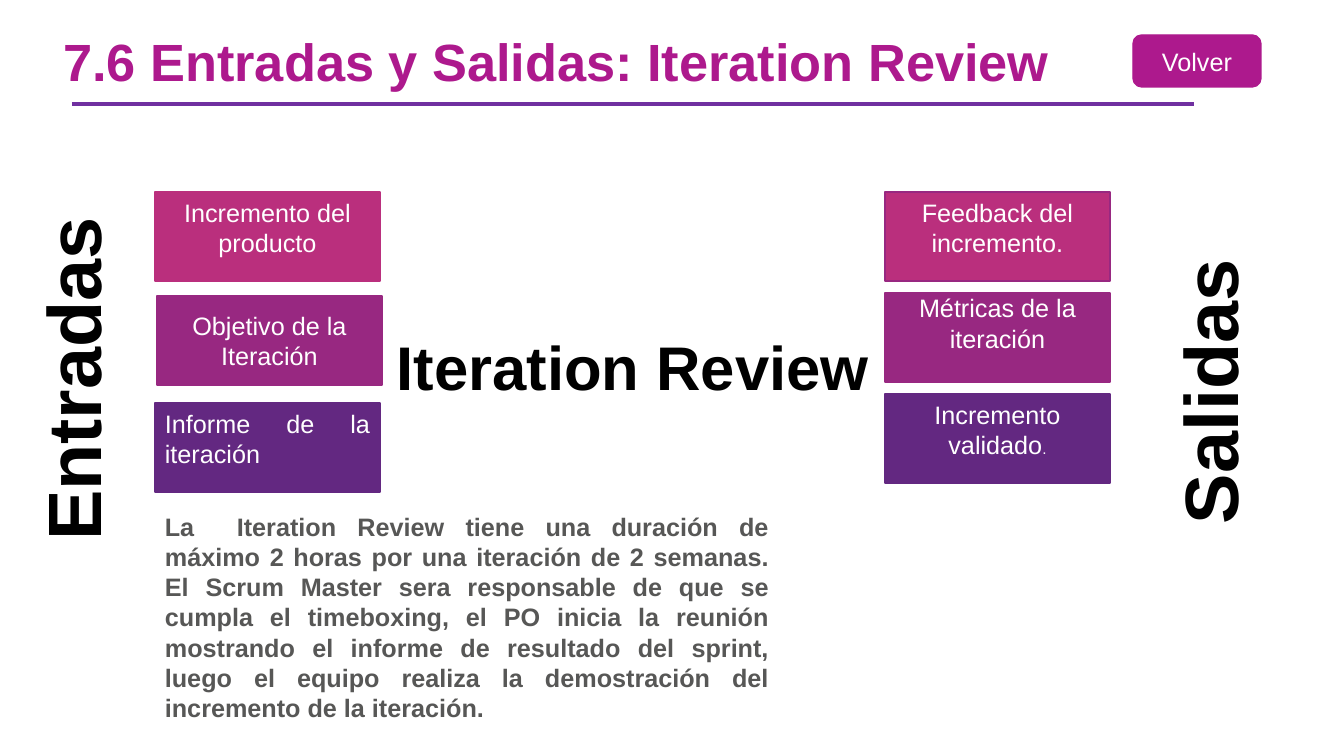
import pptx
import pptx.util
import pptx.dml.color
import pptx.enum.shapes
import pptx.enum.text
import pptx.oxml.ns
import lxml.etree

EMU_PER_PX = 914400 / 100.8
FONT = "Arial"
COLORS = {
    "magenta": "AD198D",
    "rule": "7030A0",
    "pink": "BA2F7D",
    "plum": "982881",
    "violet": "632881",
    "black": "000000",
    "gray": "575756",
    "white": "FFFFFF",
}
ALIGN = pptx.enum.text.PP_ALIGN
SHAPES = pptx.enum.shapes.MSO_SHAPE
CARD_WIDTH, CARD_HEIGHT = 225, 89
INSET = 5
SMALL_GAP, LARGE_GAP = 18, 29

ENTRADAS = [
    ("Incremento del producto", 155, 192, "pink", "pink", ALIGN.CENTER, SMALL_GAP),
    ("Objetivo de la Iteración", 157, 296, "plum", "plum", ALIGN.CENTER, 0),
    ("Informe de la iteración", 155, 403, "violet", "violet", ALIGN.JUSTIFY, SMALL_GAP),
]
SALIDAS = [
    ("Feedback del incremento.", 885, 192, "pink", "plum", ALIGN.CENTER, SMALL_GAP),
    ("Métricas de la iteración", 885, 293, "plum", "plum", ALIGN.CENTER, LARGE_GAP),
    ("Incremento validado", 885, 394, "violet", "violet", ALIGN.CENTER, SMALL_GAP),
]
DURACION = (
    "La  Iteration Review tiene una duración de máximo 2 horas por una iteración "
    "de 2 semanas. El Scrum Master sera responsable de que se cumpla el timeboxing, "
    "el PO inicia la reunión mostrando el informe de resultado del sprint, luego el "
    "equipo realiza la demostración del incremento de la iteración."
)


def px(length):
    return pptx.util.Emu(round(length * EMU_PER_PX))


def rgb(name):
    return pptx.dml.color.RGBColor.from_string(COLORS[name])


def format_run(run, size, color, bold=False):
    run.font.name = FONT
    run.font.size = pptx.util.Pt(size)
    run.font.bold = bold
    run.font.color.rgb = rgb(color)


def write(frame, text, size, color, align, bold=False):
    frame.text = text
    paragraph = frame.paragraphs[0]
    paragraph.alignment = align
    format_run(paragraph.runs[0], size, color, bold)
    return paragraph


def add_title(slide, text):
    title = slide.shapes.title
    title.left, title.top, title.width, title.height = map(px, (53, 35, 1041, 62))
    frame = title.text_frame
    heading = write(frame, text, 37.4, "magenta", ALIGN.LEFT, True)
    heading.line_spacing = 0.8
    frame.auto_size = pptx.enum.text.MSO_AUTO_SIZE.NONE
    frame.vertical_anchor = pptx.enum.text.MSO_ANCHOR.MIDDLE


def add_rule(slide, start, end, y):
    rule = slide.shapes.add_connector(
        pptx.enum.shapes.MSO_CONNECTOR.STRAIGHT, px(start), px(y), px(end), px(y))
    rule.line.color.rgb = rgb("rule")
    rule.line.width = pptx.util.Pt(2.25)
    properties = rule._element.find(pptx.oxml.ns.qn("p:spPr"))
    lxml.etree.SubElement(properties, pptx.oxml.ns.qn("a:effectLst"))


def add_card(slide, kind, box, text, fill, border, align=ALIGN.CENTER, gap_below=0):
    card = slide.shapes.add_shape(kind, *map(px, box))
    card.shadow.inherit = False
    card.fill.solid()
    card.fill.fore_color.rgb = rgb(fill)
    card.line.color.rgb = rgb(border)
    card.line.width = pptx.util.Pt(1)
    frame = card.text_frame
    frame.word_wrap = True
    frame.margin_top = px(INSET)
    frame.margin_bottom = px(INSET + gap_below)
    frame.vertical_anchor = pptx.enum.text.MSO_ANCHOR.MIDDLE
    return write(frame, text, 18, "white", align)


def add_label(slide, box, text, size, color, align, wrap=False, rotation=0):
    label = slide.shapes.add_textbox(*map(px, box))
    label.rotation = rotation
    frame = label.text_frame
    frame.word_wrap = wrap
    frame.auto_size = pptx.enum.text.MSO_AUTO_SIZE.SHAPE_TO_FIT_TEXT
    write(frame, text, size, color, align, True)


def main():
    presentation = pptx.Presentation()
    presentation.slide_width = px(1344)
    presentation.slide_height = px(756)
    slide = presentation.slides.add_slide(presentation.slide_layouts[5])

    add_rule(slide, 72, 1194, 104)
    add_title(slide, "7.6 Entradas y Salidas: Iteration Review")

    for text, left, top, fill, border, align, gap_below in ENTRADAS + SALIDAS:
        box = (left, top, CARD_WIDTH, CARD_HEIGHT)
        last_text = add_card(
            slide, SHAPES.RECTANGLE, box, text, fill, border, align, gap_below)
    full_stop = last_text.add_run()
    full_stop.text = "."
    format_run(full_stop, 11, "white")

    add_label(slide, (384, 324, 498, 85), "Iteration Review", 44, "black", ALIGN.CENTER)
    add_label(slide, (-102, 328, 347, 102), "Entradas", 54, "black", ALIGN.CENTER,
              rotation=270)
    add_label(slide, (1065, 341, 287, 102), "Salidas", 54, "black", ALIGN.CENTER,
              rotation=270)
    add_label(slide, (155, 506, 624, 224), DURACION, 18, "gray", ALIGN.JUSTIFY, wrap=True)
    add_card(slide, SHAPES.ROUNDED_RECTANGLE, (1133, 35, 128, 52), "Volver",
             "magenta", "magenta")

    presentation.save("out.pptx")


if __name__ == "__main__":
    main()
